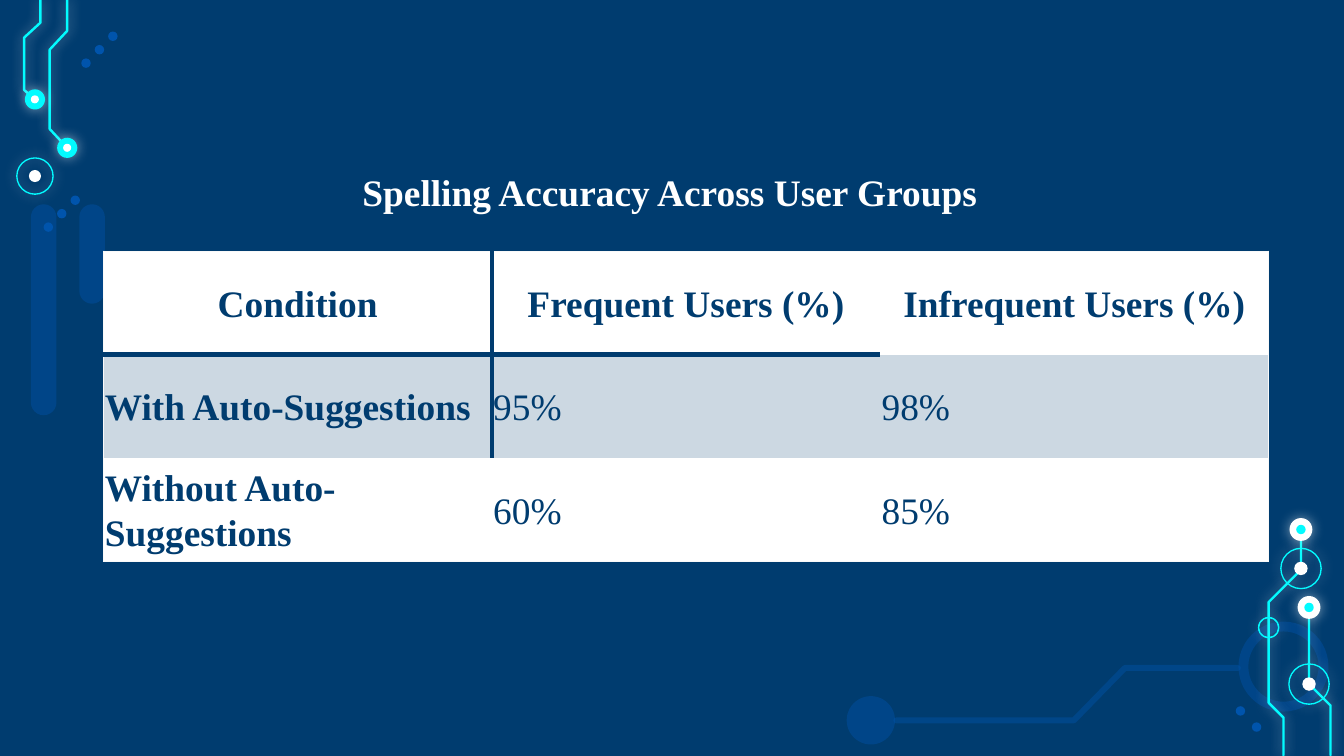
from lxml import etree
from pptx import Presentation
from pptx.dml.color import RGBColor
from pptx.enum.shapes import MSO_SHAPE
from pptx.enum.text import MSO_ANCHOR, MSO_AUTO_SIZE, PP_ALIGN
from pptx.oxml.ns import qn
from pptx.util import Inches, Pt

OVAL, DONUT, ROUNDED = MSO_SHAPE.OVAL, MSO_SHAPE.DONUT, MSO_SHAPE.ROUNDED_RECTANGLE
CENTER, LEFT = PP_ALIGN.CENTER, PP_ALIGN.LEFT
FONT = "Times New Roman"
COLORS = {"navy": "003C6F", "blue": "0054AC", "cyan": "02FBFF", "white": "FFFFFF",
          "band": "CCD8E2", "frame": "F9F9F9"}

TITLE = "Spelling Accuracy Across User Groups"
ROWS = [
    ("Condition", "Frequent Users (%)", "Infrequent Users (%)"),
    ("With Auto-Suggestions", "95%", "98%"),
    ("Without Auto-Suggestions", "60%", "85%"),
]
ROW_FILLS = ["white", "band", "white"]
COLUMN_WIDTH, ROW_HEIGHT = 2.89, 0.77

FAINT_TRACE = [(6.67, 5.36), (7.99, 5.36), (8.37, 4.97), (9.21, 4.97)]
FAINT_BARS = [(0.23, 1.52, 0.19, 1.57), (0.59, 1.52, 0.19, 0.74)]
GLOWING_TRACES = [
    [(9.9, 5.62), (9.9, 5.25), (9.74, 5.09), (9.74, 4.52)],
    [(9.55, 5.62), (9.55, 5.34), (9.44, 5.23), (9.44, 4.48), (9.68, 4.24), (9.68, 3.95)],
    [(0.5, 0), (0.5, 0.23), (0.37, 0.37), (0.37, 0.96), (0.5, 1.1)],
    [(0.3, 0), (0.3, 0.17), (0.18, 0.28), (0.18, 0.67), (0.26, 0.74)],
]
# Centre x, centre y, diameter
RINGS = [(9.74, 5.09, 0.31), (9.68, 4.23, 0.31), (9.44, 4.67, 0.16), (0.26, 1.31, 0.28)]
RING_CORES = [(9.74, 5.09, 0.1), (9.68, 4.23, 0.1), (0.26, 1.31, 0.09)]
# Centre x, centre y, outer diameter, inner diameter, outer colour, inner colour
PADS = [
    (9.74, 4.52, 0.17, 0.07, "white", "cyan"),
    (9.68, 3.94, 0.17, 0.07, "white", "cyan"),
    (0.5, 1.1, 0.15, 0.06, "cyan", "white"),
    (0.26, 0.74, 0.15, 0.06, "cyan", "white"),
]
# First centre x and y, step x and y, count
DOT_ROWS = [(0.64, 0.47, 0.1, -0.1, 3), (0.36, 1.69, 0.1, -0.1, 3), (9.23, 5.29, 0.12, 0.12, 2)]


def rgb(name):
    return RGBColor.from_string(COLORS[name])


def set_alpha(fill_parent, percent):
    color = fill_parent.find(".//" + qn("a:srgbClr"))
    etree.SubElement(color, qn("a:alpha"), val=str(percent * 1000))


def add_glow(shape):
    """Put a soft white blur with no offset behind the shape."""
    effects = shape._element.spPr.find(qn("a:effectLst"))
    shadow = etree.SubElement(effects, qn("a:outerShdw"), blurRad=str(Pt(6.8)),
                              dist="0", dir="0", algn="ctr", rotWithShape="0")
    etree.SubElement(shadow, qn("a:srgbClr"), val=COLORS["white"])
    set_alpha(shadow, 50)


def add_filled(page, kind, bounds, color, alpha=None, glow=False, adjustment=None):
    shape = page.shapes.add_shape(kind, *map(Inches, bounds))
    shape.shadow.inherit = False
    shape.fill.solid()
    shape.fill.fore_color.rgb = rgb(color)
    shape.line.fill.background()
    if adjustment is not None:
        shape.adjustments[0] = adjustment
    if alpha:
        set_alpha(shape._element.spPr, alpha)
    if glow:
        add_glow(shape)


def add_round(page, x, y, size, color, kind=OVAL, **options):
    """Add an oval or donut centred on x, y."""
    add_filled(page, kind, (x - size / 2, y - size / 2, size, size), color, **options)


def add_trace(page, points, color, width, alpha=None, glow=False):
    points = [(Inches(x), Inches(y)) for x, y in points]
    builder = page.shapes.build_freeform(*points[0], scale=1.0)
    builder.add_line_segments(points[1:], close=False)
    trace = builder.convert_to_shape()
    trace.shadow.inherit = False
    trace.fill.background()
    trace.line.color.rgb = rgb(color)
    trace.line.width = Pt(width)
    trace.line._ln.set("cap", "rnd")
    if alpha:
        set_alpha(trace.line._ln, alpha)
    if glow:
        add_glow(trace)


def add_circuits(page):
    add_trace(page, FAINT_TRACE, "blue", 3.2, alpha=41)
    add_round(page, 9.55, 4.96, 0.67, "blue", kind=DONUT, alpha=41, adjustment=0.11)
    add_round(page, 6.48, 5.36, 0.36, "blue", alpha=41)
    for bounds in FAINT_BARS:
        add_filled(page, ROUNDED, bounds, "blue", alpha=41, adjustment=0.5)
    for points in GLOWING_TRACES:
        add_trace(page, points, "cyan", 1.3, glow=True)
    for x, y, size in RINGS:
        add_round(page, x, y, size, "cyan", kind=DONUT, glow=True, adjustment=0.01 / size)
    for x, y, size in RING_CORES:
        add_round(page, x, y, size, "white")
    for x, y, outer, inner, outer_color, inner_color in PADS:
        add_round(page, x, y, outer, outer_color, glow=True)
        add_round(page, x, y, inner, inner_color)
    for x, y, step_x, step_y, count in DOT_ROWS:
        for i in range(count):
            add_round(page, x + i * step_x, y + i * step_y, 0.07, "blue")


def edge_style(edge, across, last, rule_width):
    """Colour and width of a grid edge: frame outside, a short rule after the first cell."""
    if edge in (0, last):
        return "frame", 0.75
    if edge == 1 and across < 2:
        return "navy", rule_width
    return None


def set_borders(cell, row, column):
    sides = [
        ("a:lnL", edge_style(column, row, len(ROWS[0]), 2)),
        ("a:lnR", edge_style(column + 1, row, len(ROWS[0]), 2)),
        ("a:lnT", edge_style(row, column, len(ROWS), 3)),
        ("a:lnB", edge_style(row + 1, column, len(ROWS), 3)),
    ]
    properties = cell._tc.get_or_add_tcPr()
    for position, (tag, style) in enumerate(sides):
        line = etree.Element(qn(tag))
        properties.insert(position, line)
        if style:
            color, width = style
            line.set("w", str(Pt(width)))
            fill = etree.SubElement(line, qn("a:solidFill"))
            etree.SubElement(fill, qn("a:srgbClr"), val=COLORS[color])
        else:
            etree.SubElement(line, qn("a:noFill"))


def set_font(para, color, bold):
    para.font.name = FONT
    para.font.size = Pt(20)
    para.font.bold = bold
    para.font.color.rgb = rgb(color)


def add_accuracy_table(page):
    frame = page.shapes.add_table(len(ROWS), len(ROWS[0]), Inches(0.77), Inches(1.87),
                                  Inches(COLUMN_WIDTH * 3), Inches(ROW_HEIGHT * 3))
    table = frame.table
    table.first_row = table.horz_banding = False
    for column in table.columns:
        column.width = Inches(COLUMN_WIDTH)
    for r, texts in enumerate(ROWS):
        table.rows[r].height = Inches(ROW_HEIGHT)
        for c, text in enumerate(texts):
            cell = table.cell(r, c)
            cell.text = text
            cell.vertical_anchor = MSO_ANCHOR.MIDDLE
            cell.margin_left = cell.margin_right = Inches(0.01)
            cell.margin_top = cell.margin_bottom = Inches(0.01)
            cell.fill.solid()
            cell.fill.fore_color.rgb = rgb(ROW_FILLS[r])
            set_borders(cell, r, c)
            para = cell.text_frame.paragraphs[0]
            para.alignment = CENTER if r == 0 else LEFT
            para.line_spacing = 1.07
            set_font(para, "navy", bold=r == 0 or c == 0)


def set_title(page):
    title = page.shapes.title
    title.left, title.top, title.width, title.height = map(Inches, (2.12, 1.21, 5.73, 0.44))
    title.text = TITLE
    title.text_frame.word_wrap = True
    title.text_frame.auto_size = MSO_AUTO_SIZE.SHAPE_TO_FIT_TEXT
    title.text_frame.vertical_anchor = MSO_ANCHOR.TOP
    para = title.text_frame.paragraphs[0]
    para.alignment = CENTER
    set_font(para, "white", bold=True)


deck = Presentation()
deck.slide_width = Inches(10)
deck.slide_height = deck.slide_width * 9 // 16
page = deck.slides.add_slide(deck.slide_layouts[5])
page.background.fill.solid()
page.background.fill.fore_color.rgb = rgb("navy")
add_circuits(page)
add_accuracy_table(page)
set_title(page)
deck.save("out.pptx")
